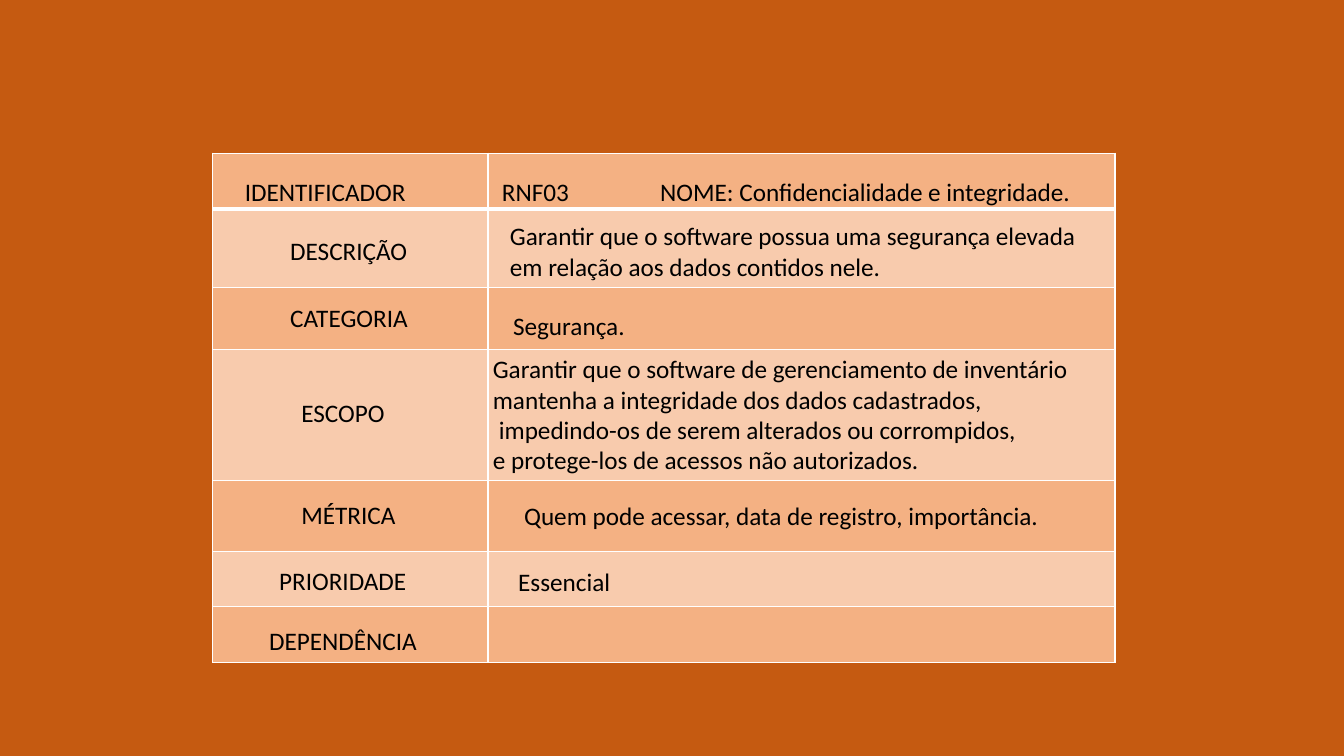
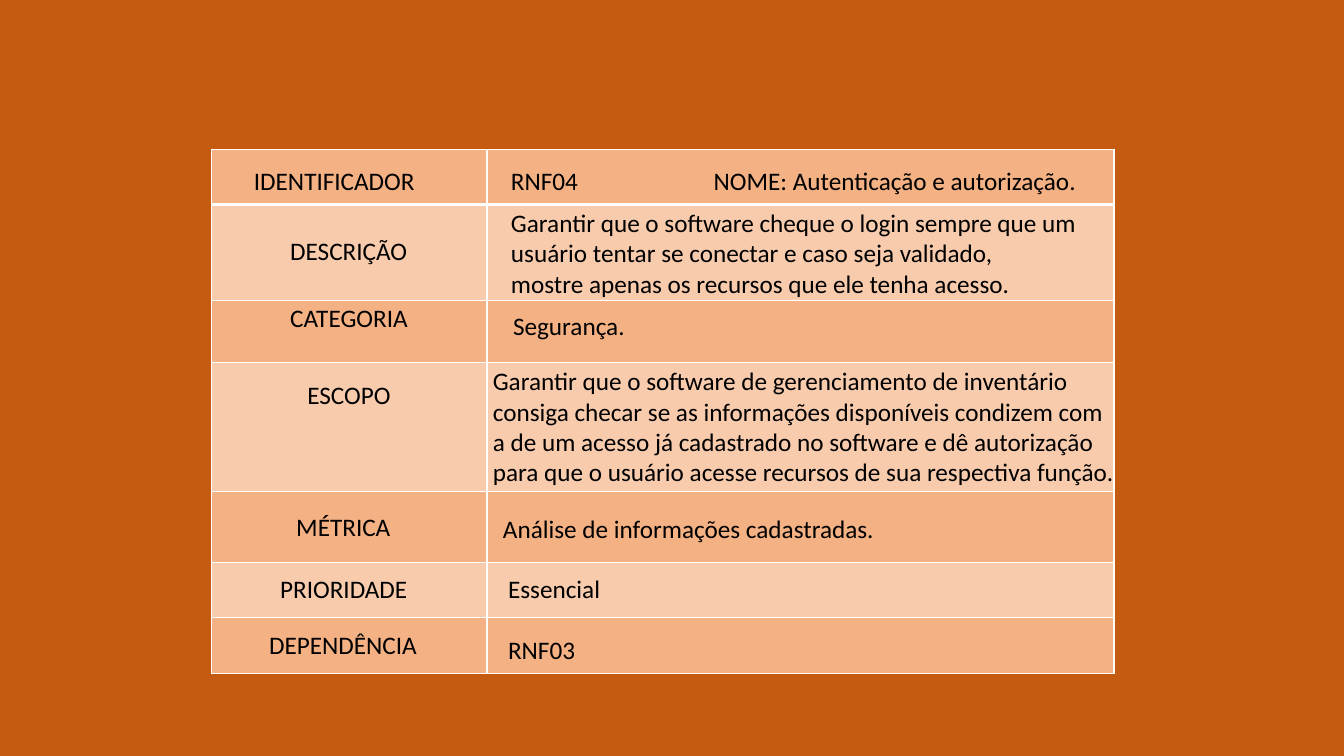
from lxml.etree import SubElement
from pptx import Presentation
from pptx.dml.color import RGBColor
from pptx.enum.text import MSO_AUTO_SIZE
from pptx.oxml.ns import qn
from pptx.util import Inches, Pt

COLOURS = {
    "background": "C55A11",
    "dark row": "F4B183",
    "light row": "F8CBAD",
    "border": "FFFFFF",
    "text": "000000",
}
TEXT_FORMAT = {"name": "Calibri", "size": Pt(18)}
COLUMNS = [2.73, 6.22]
LINE_HEIGHT = 0.3
BOX_PADDING = 0.1
HANGING_SPACE = 0.06

# Row labels below the header, with their box widths
LABELS = [
    ("DESCRIÇÃO", 1.37),
    ("CATEGORIA", 1.38),
    ("ESCOPO", 1.03),
    ("MÉTRICA", 1.14),
    ("PRIORIDADE", 1.47),
    ("DEPENDÊNCIA", 1.68),
]

# Each value: left, top, width, lines
REQUIREMENTS = [
    {
        "table": (2.11, 1.52),
        "rows": [0.55, 0.78, 0.62, 1.3, 0.7, 0.55, 0.55],
        "header": (2.33, 1.7),
        "tabs": [2.55, 4.12],
        "title": ["IDENTIFICADOR", "RNF03", "NOME: Confidencialidade e integridade."],
        "labels": [(2.78, 2.29), (2.78, 2.95), (2.89, 3.89),
                   (2.89, 4.9), (2.67, 5.56), (2.57, 6.15)],
        "values": [
            (4.96, 2.14, 5.94, ["Garantir que o software possua uma segurança elevada",
                                "em relação aos dados contidos nele."]),
            (4.99, 3.03, 1.32, ["Segurança."]),
            (4.79, 3.46, 6.04, ["Garantir que o software de gerenciamento de inventário",
                                "mantenha a integridade dos dados cadastrados,",
                                "impedindo-os de serem alterados ou corrompidos,",
                                "e protege-los de acessos não autorizados."]),
            (5.1, 4.91, 5.4, ["Quem pode acessar, data de registro, importância."]),
            (5.04, 5.57, 1.12, ["Essencial"]),
        ],
        "indented": {"impedindo-os de serem alterados ou corrompidos,"},
    },
    {
        "table": (2.1, 1.48),
        "rows": [0.55, 0.95, 0.62, 1.28, 0.7, 0.55, 0.55],
        "header": (2.42, 1.59),
        "tabs": [2.55, 4.56],
        "title": ["IDENTIFICADOR", "RNF04", "NOME: Autenticação e autorização."],
        "labels": [(2.78, 2.29), (2.78, 2.95), (2.95, 3.71),
                   (2.84, 5.02), (2.68, 5.64), (2.57, 6.19)],
        "values": [
            (4.97, 2.01, 6.04, ["Garantir que o software cheque o login sempre que um",
                                "usuário tentar se conectar e caso seja validado,",
                                "mostre apenas os recursos que ele tenha acesso."]),
            (4.99, 3.03, 1.32, ["Segurança."]),
            (4.79, 3.58, 6.6, ["Garantir que o software de gerenciamento de inventário",
                               "consiga checar se as informações disponíveis condizem com",
                               "a de um acesso já cadastrado no software e dê autorização",
                               "para que o usuário acesse recursos de sua respectiva função."]),
            (4.89, 5.04, 3.92, ["Análise de informações cadastradas."]),
            (4.94, 5.64, 1.12, ["Essencial"]),
            (4.94, 6.24, 1.12, ["RNF03"]),
        ],
        "indented": set(),
    },
]


class RequirementDeck:
    def __init__(self):
        self.deck = Presentation()
        self.deck.slide_width = Inches(13.33)
        self.deck.slide_height = Inches(7.5)
        self.page = None
        self.paint(self.deck.slide_master.background.fill, "background")

    def paint(self, fill, colour):
        fill.solid()
        fill.fore_color.rgb = RGBColor.from_string(COLOURS[colour])

    def add_page(self):
        blank = self.deck.slide_layouts[6]
        self.page = self.deck.slides.add_slide(blank)

    def add_text(self, left, top, width, lines, wrap=False, tabs=(), indented=()):
        height = LINE_HEIGHT * len(lines) + BOX_PADDING
        box = self.page.shapes.add_textbox(*map(Inches, (left, top, width, height)))
        frame = box.text_frame
        frame.word_wrap = wrap
        frame.auto_size = MSO_AUTO_SIZE.SHAPE_TO_FIT_TEXT
        for index, line in enumerate(lines):
            para = frame.paragraphs[0] if index == 0 else frame.add_paragraph()
            if line in indented:
                para._p.get_or_add_pPr().set("marL", str(Inches(HANGING_SPACE)))
            if tabs:
                self.add_tabs(para, tabs)
            span = para.add_run()
            span.text = line
            for name, value in TEXT_FORMAT.items():
                setattr(span.font, name, value)
            span.font.color.rgb = RGBColor.from_string(COLOURS["text"])

    def add_tabs(self, para, tabs):
        stops = SubElement(para._p.get_or_add_pPr(), qn("a:tabLst"))
        for position in tabs:
            SubElement(stops, qn("a:tab"), pos=str(Inches(position)), algn="l")

    def add_grid(self, left, top, rows):
        size = (left, top, sum(COLUMNS), sum(rows))
        grid = self.page.shapes.add_table(len(rows), len(COLUMNS), *map(Inches, size)).table
        grid.first_row = grid.horz_banding = False
        for column, width in zip(grid.columns, COLUMNS):
            column.width = Inches(width)
        for index, (row, height) in enumerate(zip(grid.rows, rows)):
            row.height = Inches(height)
            for cell in row.cells:
                self.paint(cell.fill, "light row" if index % 2 else "dark row")
                self.add_borders(cell, {"L": 1, "R": 1,
                                        "T": 3 if index == 1 else 1,
                                        "B": 3 if index == 0 else 1})

    def add_borders(self, cell, widths):
        properties = cell._tc.get_or_add_tcPr()
        # Borders must come before the fill
        for place, (side, width) in enumerate(widths.items()):
            line = SubElement(properties, qn(f"a:ln{side}"), w=str(Pt(width)))
            fill = SubElement(line, qn("a:solidFill"))
            SubElement(fill, qn("a:srgbClr"), val=COLOURS["border"])
            properties.insert(place, line)

    def add_requirement(self, requirement):
        self.add_page()
        self.add_grid(*requirement["table"], requirement["rows"])
        # Header row
        self.add_text(*requirement["header"], 8.5, ["\t".join(requirement["title"])],
                      wrap=True, tabs=requirement["tabs"])
        # Left column
        for (label, width), place in zip(LABELS, requirement["labels"]):
            self.add_text(*place, width, [label])
        # Right column
        for value in requirement["values"]:
            self.add_text(*value, indented=requirement["indented"])


def main():
    builder = RequirementDeck()
    for requirement in REQUIREMENTS:
        builder.add_requirement(requirement)
    builder.deck.save("out.pptx")


if __name__ == "__main__":
    main()
